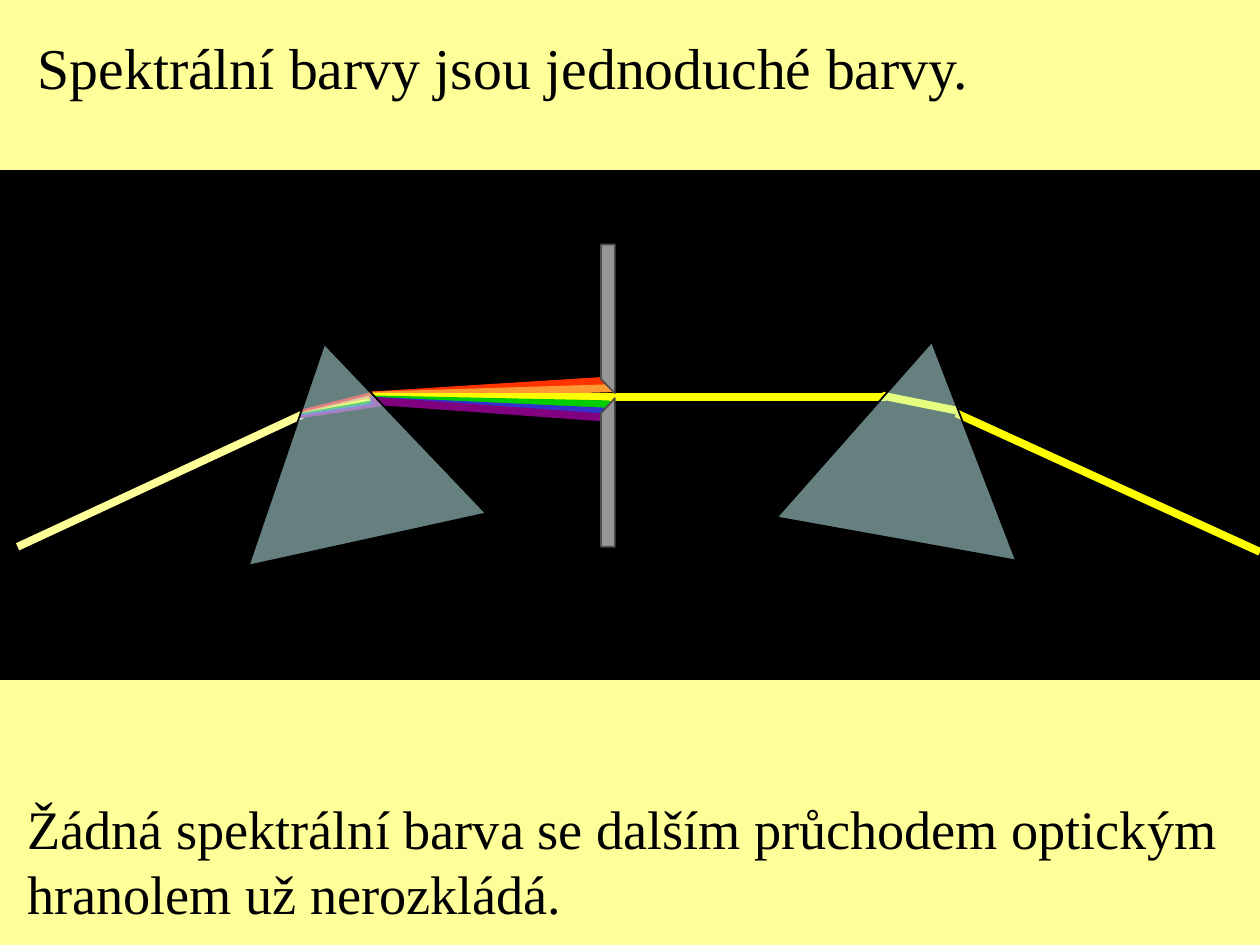
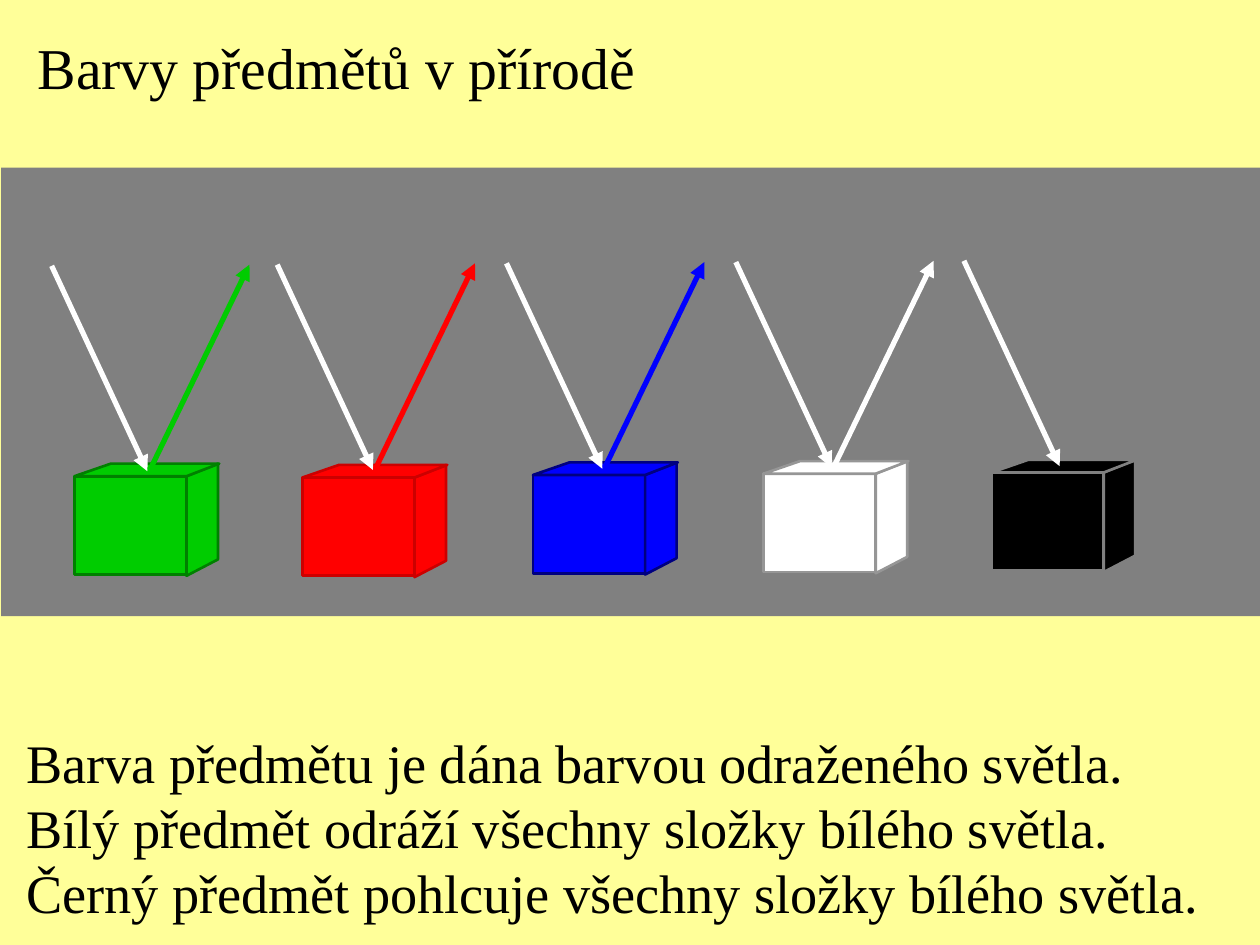
"""Build two slides on spectral colours and the colours of objects."""
from lxml import etree
from pptx import Presentation
from pptx.dml.color import RGBColor
from pptx.enum.shapes import MSO_CONNECTOR, MSO_SHAPE
from pptx.enum.text import MSO_AUTO_SIZE
from pptx.oxml.ns import qn
from pptx.util import Inches, Pt

RECT = MSO_SHAPE.RECTANGLE
PRISM = MSO_SHAPE.ISOSCELES_TRIANGLE
LINE = MSO_CONNECTOR.STRAIGHT
GROW = MSO_AUTO_SIZE.SHAPE_TO_FIT_TEXT
FONT = "Times New Roman"
COLORS = {
    "cream": "FFFF99", "black": "000000", "white": "FFFFFF", "gray": "808080",
    "steel": "969696", "iron": "4D4D4D", "glass": "CCFFFF",
    "red": "FF0000", "flame": "FF3300", "brick": "CC0000", "orange": "FF9933",
    "yellow": "FFFF00", "green": "00CC00", "leaf": "009900", "moss": "008000",
    "blue": "0000FF", "navy": "000080", "indigo": "3333CC", "purple": "800080",
}


def paint(shape, fill, edge=None, width=1):
    shape.shadow.inherit = False
    shape.fill.solid()
    shape.fill.fore_color.rgb = RGBColor.from_string(COLORS[fill])
    if edge:
        shape.line.color.rgb = RGBColor.from_string(COLORS[edge])
        shape.line.width = Pt(width)
    else:
        shape.line.fill.background()


def ray(slide, start, end, color, width, arrow=False):
    line = slide.shapes.add_connector(LINE, *[Inches(v) for v in (*start, *end)])
    line.line.color.rgb = RGBColor.from_string(COLORS[color])
    line.line.width = Pt(width)
    if arrow:
        outline = line._element.spPr.find(qn("a:ln"))
        etree.SubElement(outline, qn("a:tailEnd"), type="triangle")
    etree.SubElement(line._element.spPr, qn("a:effectLst"))


deck = Presentation()
deck.slide_width, deck.slide_height = Inches(10), Inches(7.5)

pages = [
    (("black", "black"), (0, 1.36, 10, 4.03), [
        ((0.2, 0.2, 7.62, 0.65), 33, ["Spektrální barvy jsou jednoduché barvy."]),
        ((0.12, 6.26, 9.63, 1.14), 31, [
            "Žádná spektrální barva se dalším průchodem optickým",
            "hranolem už nerozkládá."]),
    ]),
    (("gray", None), (0.01, 1.33, 9.99, 3.56), [
        ((0.2, 0.2, 4.94, 0.65), 33, ["Barvy předmětů v přírodě"]),
        ((0.11, 5.74, 9.46, 1.65), 31, [
            "Barva předmětu je dána barvou odraženého světla.",
            "Bílý předmět odráží všechny složky bílého světla.",
            "Černý předmět pohlcuje všechny složky bílého světla."]),
    ]),
]
slides = []
for look, band, texts in pages:
    slide = deck.slides.add_slide(deck.slide_layouts[6])
    slides.append(slide)
    slide.background.fill.solid()
    slide.background.fill.fore_color.rgb = RGBColor.from_string(COLORS["cream"])
    paint(slide.shapes.add_shape(RECT, *[Inches(v) for v in band]), *look)
    for place, size, rows in texts:
        frame = slide.shapes.add_textbox(*[Inches(v) for v in place]).text_frame
        frame.word_wrap = False
        frame.auto_size = GROW
        frame.margin_right = Inches(0.03)
        for n, row in enumerate(rows):
            para = frame.add_paragraph() if n else frame.paragraphs[0]
            run = para.add_run()
            run.text = row
            run.font.name = FONT
            run.font.size = Pt(size)
            run.font.color.rgb = RGBColor.from_string(COLORS["black"])

optics, nature = slides

rays = [
    ((0.14, 4.34), (2.4, 3.29), "cream", 4.5),
    ((7, 3.14), (7.6, 3.26), "yellow", 4.5),
    ((2.4, 3.26), (2.96, 3.12), "red", 1.5),
    ((2.4, 3.28), (2.97, 3.14), "orange", 1.5),
    ((2.39, 3.29), (2.98, 3.16), "yellow", 1.5),
    ((2.38, 3.29), (3, 3.18), "leaf", 1.5),
    ((2.38, 3.3), (3.02, 3.2), "indigo", 1.5),
    ((2.38, 3.31), (3.05, 3.21), "purple", 1.5),
    ((2.93, 3.14), (4.84, 3.02), "flame", 4.5),
    ((2.96, 3.14), (4.88, 3.08), "orange", 4.5),
    ((2.95, 3.15), (4.87, 3.15), "yellow", 4.5),
    ((4.87, 3.21), (2.95, 3.17), "green", 4.5),
    ((4.87, 3.27), (2.94, 3.18), "indigo", 4.5),
    ((4.88, 3.32), (2.95, 3.18), "purple", 4.5),
    ((4.83, 3.15), (7.03, 3.15), "yellow", 4.5),
    ((7.59, 3.28), (10, 4.38), "yellow", 4.5),
]
for item in rays:
    ray(optics, *item)

for left, top, turn in [(1.78, 2.71, 347.6), (6.29, 2.7, 10.2)]:
    prism = optics.shapes.add_shape(
        PRISM, Inches(left), Inches(top), Inches(1.93), Inches(1.59))
    prism.rotation = turn
    paint(prism, "glass", "black")
    tint = prism._element.spPr.find(qn("a:solidFill"))[0]
    etree.SubElement(tint, qn("a:alpha"), val="50000")

for far, bend, tip in [(1.94, 3.01, 3.12), (4.34, 3.28, 3.16)]:
    edge = [(4.77, far), (4.77, bend), (4.88, tip), (4.88, far)]
    points = [(Inches(x), Inches(y)) for x, y in edge]
    pen = optics.shapes.build_freeform(*points[0])
    pen.add_line_segments(points[1:], close=True)
    paint(pen.convert_to_shape(), "steel", "iron")

side = [(0.89, 0), (0.89, 0.79), (1.14, 0.66), (1.14, -0.1)]
lid = [(0, 0), (0.89, 0), (1.15, -0.1), (0.29, -0.1)]
boxes = [
    (0.59, 3.78, "green", "moss"),
    (2.4, 3.79, "red", "brick"),
    (4.23, 3.77, "blue", "navy"),
    (6.06, 3.76, "white", "steel"),
    (7.87, 3.75, "black", "gray"),
]
for left, top, fill, edge in boxes:
    front = nature.shapes.add_shape(
        RECT, Inches(left), Inches(top), Inches(0.89), Inches(0.78))
    paint(front, fill, edge, 1.5)
    for face in (side, lid):
        points = [(Inches(left + x), Inches(top + y)) for x, y in face]
        pen = nature.shapes.build_freeform(*points[0])
        pen.add_line_segments(points[1:], close=True)
        paint(pen.convert_to_shape(), fill, edge, 1.5)

beams = [(0.41, "green"), (2.2, "red"), (4.02, "blue"), (5.84, "white"), (7.65, None)]
for n, (x, color) in enumerate(beams):
    y = 2.11 - 0.01 * n
    ray(nature, (x, y), (x + 0.76, y + 1.63), "white", 3, True)
    if color:
        ray(nature, (x + 0.78, y + 1.62), (x + 1.57, y - 0.01), color, 3, True)

deck.save("out.pptx")
